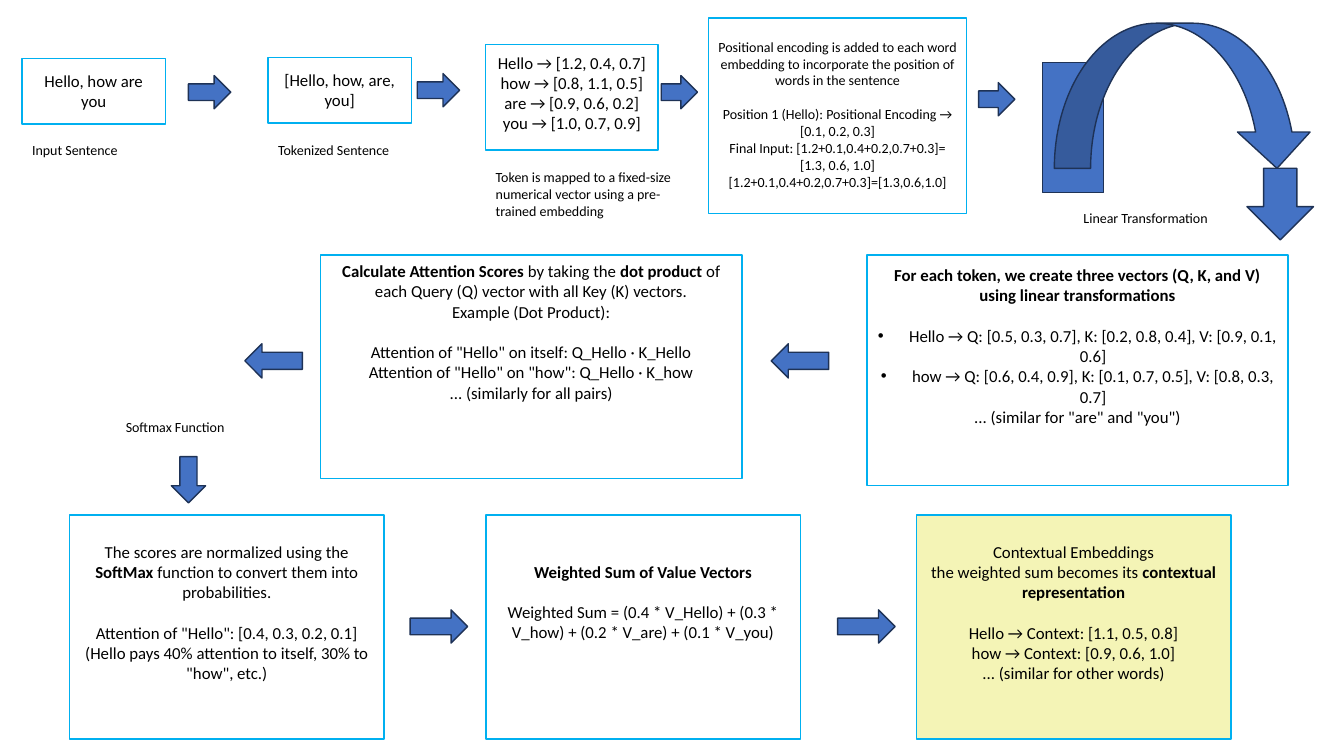
from lxml.etree import SubElement
from pptx import Presentation
from pptx.dml.color import RGBColor
from pptx.enum.shapes import MSO_SHAPE
from pptx.enum.text import MSO_ANCHOR, PP_ALIGN
from pptx.oxml.ns import qn
from pptx.util import Inches, Pt

WHITE = RGBColor(0xFF, 0xFF, 0xFF)
BLACK = RGBColor(0x00, 0x00, 0x00)
SKY = RGBColor(0x00, 0xB0, 0xF0)
BLUE = RGBColor(0x44, 0x72, 0xC4)
NAVY = RGBColor(0x1E, 0x32, 0x56)
YELLOW = RGBColor(0xED, 0xED, 0x82)

presentation = Presentation()
presentation.slide_width = Inches(13.333)
presentation.slide_height = Inches(7.5)
slide = presentation.slides.add_slide(presentation.slide_layouts[6])

# The slide is a grid of 100 columns by 100 rows
COLUMN = presentation.slide_width / 100
ROW = presentation.slide_height / 100
LINE_HEIGHT = 1.22


def place(left, top, width, height):
    return int(left * COLUMN), int(top * ROW), int(width * COLUMN), int(height * ROW)


def write(shape, lines, size=12, align=PP_ALIGN.CENTER, inset=None, gaps=(), bullets=()):
    """Write paragraphs; ** switches bold, gaps and bullets hold paragraph numbers."""
    frame = shape.text_frame
    frame.word_wrap = True
    frame.vertical_anchor = MSO_ANCHOR.MIDDLE if inset is None else MSO_ANCHOR.TOP
    if inset is not None:
        frame.margin_top = int(inset * ROW)
    for number, line in enumerate(lines):
        paragraph = frame.paragraphs[0] if number == 0 else frame.add_paragraph()
        if number in bullets:
            properties = paragraph._p.get_or_add_pPr()
            properties.set("marL", str(Inches(0.31)))
            properties.set("indent", str(-Inches(0.31)))
            SubElement(properties, qn("a:buFont")).set("typeface", "Arial")
            SubElement(properties, qn("a:buChar")).set("char", "•")
        paragraph.alignment = align
        if number in gaps:
            paragraph.space_before = Pt(round(size * LINE_HEIGHT, 1))
        for part, text in enumerate(line.split("**")):
            if text:
                run = paragraph.add_run()
                run.text = text
                run.font.name = "Calibri"
                run.font.size = Pt(size)
                run.font.bold = part % 2 == 1
                run.font.color.rgb = BLACK


# Step boxes: position, fill, lines, text format
TOP_SIZE = (10.65, 8.67)
BOTTOM_TOP, BOTTOM_SIZE = 68.13, (23.4, 29.6)
steps = [
    ((1.65, 7.73, *TOP_SIZE), WHITE, ["Hello, how are you"], {}),
    ((19.95, 7.6, *TOP_SIZE), WHITE, ["[Hello, how, are, you]"], {}),
    ((36.15, 5.87, 12.82, 14), WHITE, [
        "Hello → [1.2, 0.4, 0.7]",
        "how → [0.8, 1.1, 0.5]",
        "are → [0.9, 0.6, 0.2]",
        "you → [1.0, 0.7, 0.9]",
    ], {"inset": 1.07}),
    ((52.72, 2.4, 19.2, 25.87), WHITE, [
        "Positional encoding is added to each word embedding to incorporate "
        "the position of words in the sentence",
        "Position 1 (Hello): Positional Encoding → [0.1, 0.2, 0.3]",
        "Final Input: [1.2+0.1,0.4+0.2,0.7+0.3]= [1.3, 0.6, 1.0]"
        "[1.2+0.1,0.4+0.2,0.7+0.3]=[1.3,0.6,1.0]",
    ], {"size": 10, "inset": 2.67, "gaps": (1,)}),
    ((64.5, 33.73, 31.35, 30.53), WHITE, [
        "**For each token, we create three vectors (Q, K, and V) using linear transformations**",
        "Hello → Q: [0.5, 0.3, 0.7], K: [0.2, 0.8, 0.4], V: [0.9, 0.1, 0.6]",
        "how → Q: [0.6, 0.4, 0.9], K: [0.1, 0.7, 0.5], V: [0.8, 0.3, 0.7]",
        '... (similar for "are" and "you")',
    ], {"inset": 1.33, "gaps": (1,), "bullets": (1, 2)}),
    ((23.85, 33.73, 31.35, 29.6), WHITE, [
        "**Calculate Attention Scores** by taking the **dot product** of each "
        "Query (Q) vector with all Key (K) vectors.",
        "Example (Dot Product):",
        'Attention of "Hello" on itself: Q_Hello · K_Hello',
        'Attention of "Hello" on "how": Q_Hello · K_how',
        "... (similarly for all pairs)",
    ], {"inset": 0.8, "gaps": (2,)}),
    ((5.18, BOTTOM_TOP, *BOTTOM_SIZE), WHITE, [
        "The scores are normalized using the **SoftMax** function to convert "
        "them into probabilities.",
        'Attention of "Hello": [0.4, 0.3, 0.2, 0.1]',
        '(Hello pays 40% attention to itself, 30% to "how", etc.)',
    ], {"inset": 3.47, "gaps": (1,)}),
    ((36.15, BOTTOM_TOP, *BOTTOM_SIZE), WHITE, [
        "**Weighted Sum of Value Vectors**",
        "Weighted Sum = (0.4 * V_Hello) + (0.3 * V_how) + (0.2 * V_are) + (0.1 * V_you)",
    ], {"inset": 6.13, "gaps": (1,)}),
    ((68.18, BOTTOM_TOP, *BOTTOM_SIZE), YELLOW, [
        "Contextual Embeddings",
        "the weighted sum becomes its **contextual representation**",
        "Hello → Context: [1.1, 0.5, 0.8]",
        "how → Context: [0.9, 0.6, 1.0]",
        "... (similar for other words)",
    ], {"inset": 3.47, "gaps": (2,)}),
]
for position, fill, lines, text_format in steps:
    box = slide.shapes.add_shape(MSO_SHAPE.RECTANGLE, *place(*position))
    box.shadow.inherit = False
    box.fill.solid()
    box.fill.fore_color.rgb = fill
    box.line.color.rgb = SKY
    box.line.width = Pt(1)
    if fill == YELLOW:
        color = box._element.spPr.find(qn("a:solidFill"))[0]
        SubElement(color, qn("a:alpha")).set("val", "58000")
    write(box, lines, **text_format)

# Captions
captions = [
    ((1.65, 18, 10.58, 3.6), "Input Sentence"),
    ((19.95, 18, 10.58, 3.6), "Tokenized Sentence"),
    ((36.15, 21.6, 15.75, 8.13),
     "Token is mapped to a fixed-size numerical vector using a pre-trained embedding"),
    ((79.88, 27.07, 12.82, 3.6), "Linear Transformation"),
    ((8.62, 54.67, 10.58, 3.6), "Softmax Function"),
]
for position, text in captions:
    caption = slide.shapes.add_textbox(*place(*position))
    write(caption, [text], size=10, align=PP_ALIGN.LEFT)

# Arrows between the steps, and the block of the linear transformation
arrows = [
    (MSO_SHAPE.RECTANGLE, 77.55, 8.27, 4.58, 17.2),
    (MSO_SHAPE.CURVED_DOWN_ARROW, 78.45, 3.07, 19.27, 19.2),
    (MSO_SHAPE.DOWN_ARROW, 92.78, 22.27, 4.95, 9.47),
    (MSO_SHAPE.RIGHT_ARROW, 14.02, 10, 3.15, 4.4),
    (MSO_SHAPE.RIGHT_ARROW, 31.05, 9.73, 3.15, 4.4),
    (MSO_SHAPE.RIGHT_ARROW, 49.2, 10, 2.7, 4.4),
    (MSO_SHAPE.RIGHT_ARROW, 72.82, 10.93, 2.7, 4.4),
    (MSO_SHAPE.LEFT_ARROW, 57.38, 45.47, 4.28, 4.53),
    (MSO_SHAPE.LEFT_ARROW, 18.22, 45.47, 4.28, 4.53),
    (MSO_SHAPE.DOWN_ARROW, 12.75, 60.4, 2.55, 6.13),
    (MSO_SHAPE.RIGHT_ARROW, 30.52, 80.67, 4.28, 4.4),
    (MSO_SHAPE.RIGHT_ARROW, 62.32, 80.67, 4.28, 4.4),
]
for kind, *position in arrows:
    arrow = slide.shapes.add_shape(kind, *place(*position))
    arrow.shadow.inherit = False
    arrow.fill.solid()
    arrow.fill.fore_color.rgb = BLUE
    arrow.line.color.rgb = NAVY
    arrow.line.width = Pt(1)

presentation.save("out.pptx")
